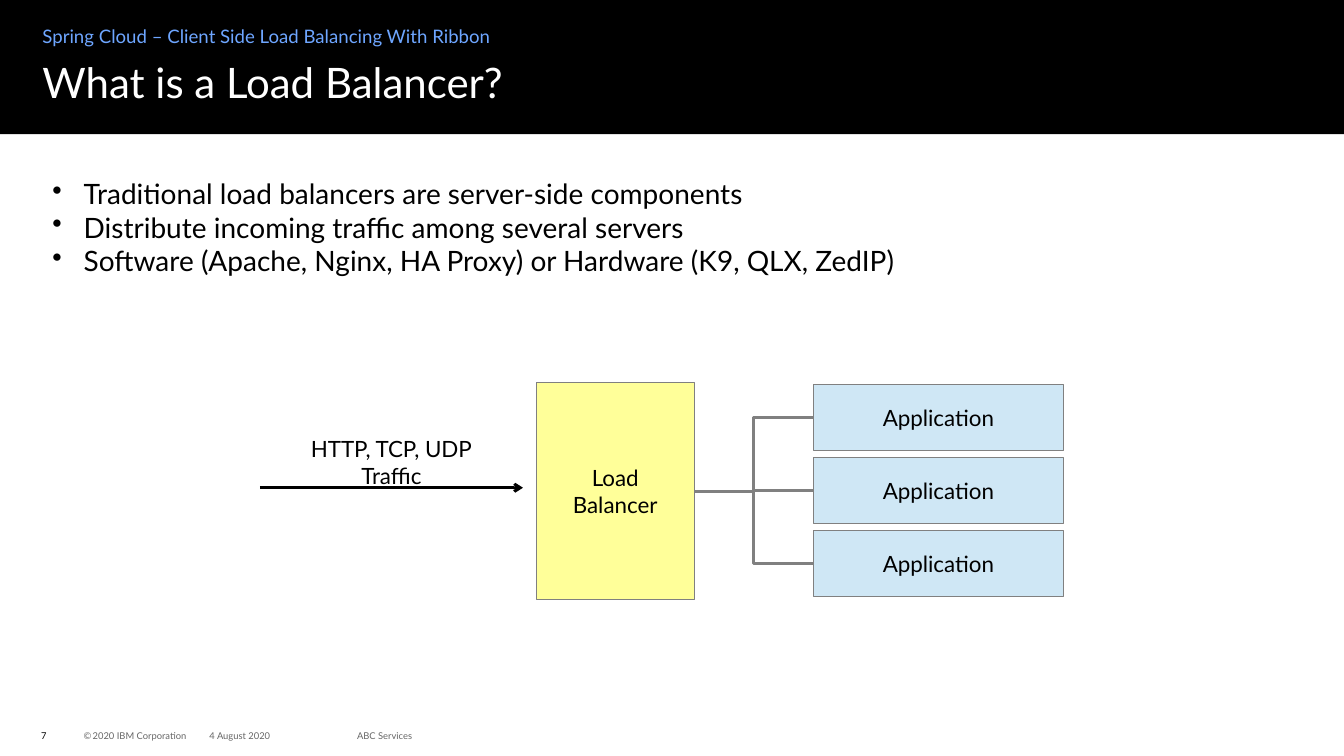
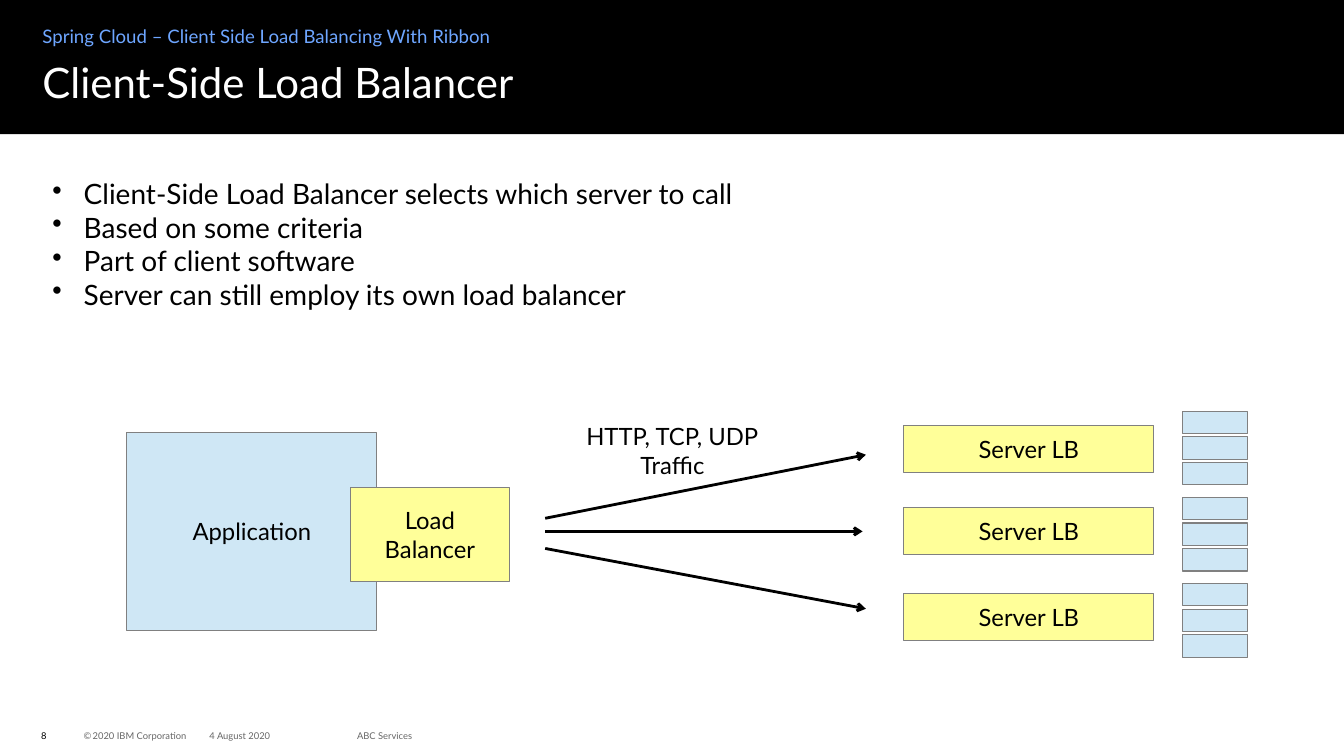
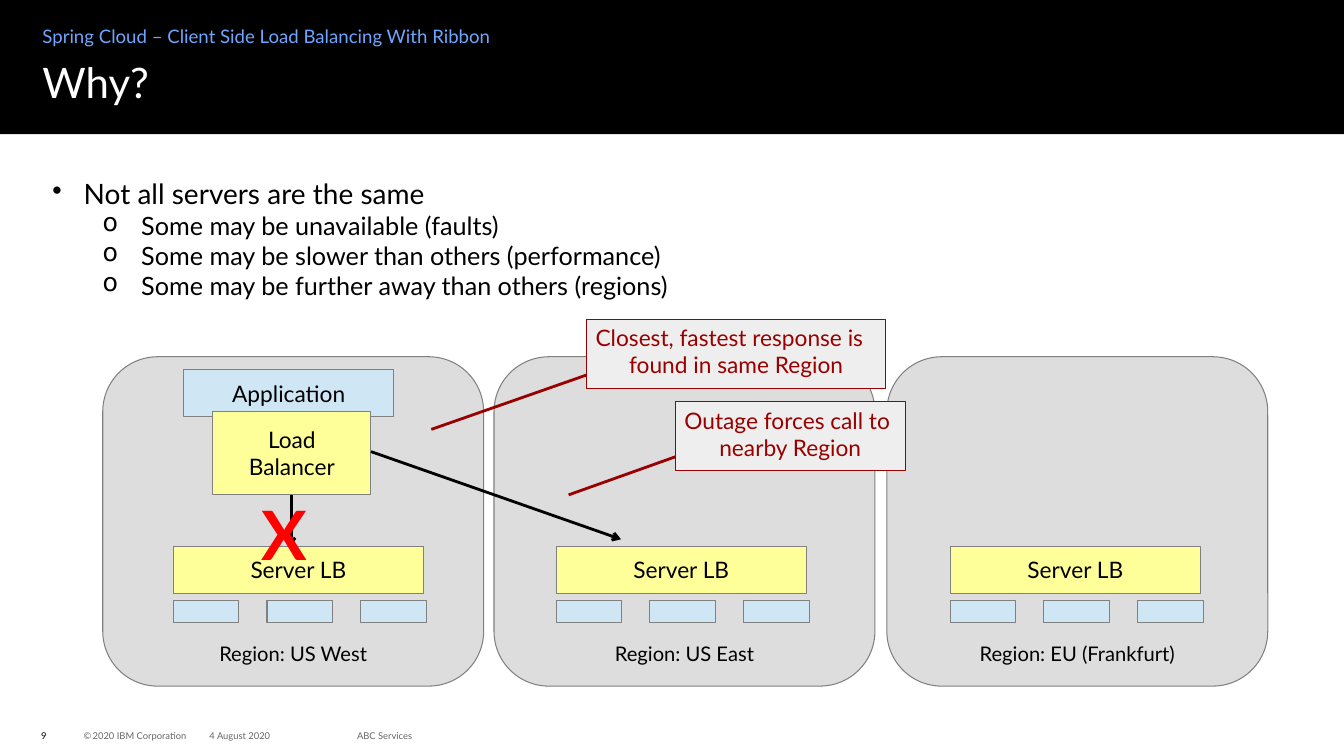
from lxml import etree
from pptx import Presentation
from pptx.dml.color import RGBColor
from pptx.enum.shapes import MSO_CONNECTOR, MSO_SHAPE
from pptx.enum.text import MSO_ANCHOR, PP_ALIGN
from pptx.oxml.ns import qn
from pptx.util import Cm, Pt

RECTANGLE, ROUNDED = MSO_SHAPE.RECTANGLE, MSO_SHAPE.ROUNDED_RECTANGLE
STRAIGHT, ELBOW = MSO_CONNECTOR.STRAIGHT, MSO_CONNECTOR.ELBOW
LEFT, CENTER = PP_ALIGN.LEFT, PP_ALIGN.CENTER
TOP, MIDDLE, BOTTOM = MSO_ANCHOR.TOP, MSO_ANCHOR.MIDDLE, MSO_ANCHOR.BOTTOM
LEFT_SITE, RIGHT_SITE = 1, 3

BLACK = RGBColor(0x00, 0x00, 0x00)
WHITE = RGBColor(0xFF, 0xFF, 0xFF)
FOOTER_GREY = RGBColor(0x66, 0x66, 0x66)
TOPIC_BLUE = RGBColor(0x6E, 0xA6, 0xFF)
LINE_GREY = RGBColor(0x80, 0x80, 0x80)
BALANCER_YELLOW = RGBColor(0xFF, 0xFF, 0x99)
SERVER_BLUE = RGBColor(0xCF, 0xE7, 0xF5)
REGION_GREY = RGBColor(0xDD, 0xDD, 0xDD)
NOTE_GREY = RGBColor(0xEE, 0xEE, 0xEE)
NOTE_RED = RGBColor(0x99, 0x00, 0x00)
FAULT_RED = RGBColor(0xFF, 0x00, 0x00)

FONT = "Lato"
SLIDE_WIDTH, SLIDE_HEIGHT = 33.87, 19.05
NO_INSETS = (0, 0)
SHAPE_INSETS = (0.23, 0.11)
BODY_INSETS = (0.25, 0.13)
BALANCER_WIDTH, SERVER_WIDTH, SERVER_HEIGHT = 3.99, 6.3, 1.19
INSTANCE_WIDTH, INSTANCE_HEIGHT = 1.65, 0.56

# For each bullet level: sign, text indent, hanging indent, text size
BULLETS = {0: ("•", 0.79, 0.79, 20), 1: ("o", 2.24, 0.97, 18)}


def set_attributes(target, values):
    for name, value in values.items():
        setattr(target, name, value)


def fill_frame(frame, lines, size, color=BLACK, align=CENTER, anchor=MIDDLE,
               insets=SHAPE_INSETS, bold=False, spacing=None):
    """Write one paragraph per line; a line is a string or a list of (text, size)."""
    side, edge = Cm(insets[0]), Cm(insets[1])
    set_attributes(frame, {
        "word_wrap": True, "vertical_anchor": anchor, "margin_left": side,
        "margin_right": side, "margin_top": edge, "margin_bottom": edge})
    for index, line in enumerate(lines):
        para = frame.paragraphs[0] if index == 0 else frame.add_paragraph()
        set_attributes(para, {"alignment": align, "line_spacing": spacing})
        for text, span_size in [(line, size)] if isinstance(line, str) else line:
            span = para.add_run()
            span.text = text
            set_attributes(span.font, {"name": FONT, "size": Pt(span_size), "bold": bold})
            span.font.color.rgb = color


def add_text(page, area, lines, size, **format_values):
    box = page.shapes.add_textbox(*map(Cm, area))
    fill_frame(box.text_frame, lines, size, **format_values)
    return box


def add_block(page, area, fill, lines=(), size=16, line=LINE_GREY, kind=RECTANGLE,
              **format_values):
    block = page.shapes.add_shape(kind, *map(Cm, area))
    block.shadow.inherit = False
    block.fill.solid()
    block.fill.fore_color.rgb = fill
    if line is None:
        block.line.fill.background()
    else:
        block.line.color.rgb = line
        block.line.width = Pt(0)
    fill_frame(block.text_frame, lines, size, **format_values)
    return block


def add_line(page, start, end, color=BLACK, kind=STRAIGHT, arrow=False):
    connector = page.shapes.add_connector(kind, *map(Cm, (*start, *end)))
    connector.line.color.rgb = color
    connector.line.width = Pt(0)
    if arrow:
        etree.SubElement(connector.line._get_or_add_ln(), qn("a:tailEnd"), type="arrow")
    etree.SubElement(connector._element.spPr, qn("a:effectLst"))
    return connector


def add_header(page, title):
    add_block(page, (0, 0, SLIDE_WIDTH, 3.38), BLACK, line=None)
    style = {"align": LEFT, "anchor": TOP, "insets": NO_INSETS}
    add_text(page, (1.07, 0.61, 15.24, 0.64),
             ["Spring Cloud – Client Side Load Balancing With Ribbon"], 13.3,
             color=TOPIC_BLUE, spacing=1.05, **style)
    add_text(page, (1.07, 1.57, 31.75, 1.8), [title], 30,
             color=WHITE, spacing=0.9, **style)


def add_footer(page, number):
    copyright_line = [("©", 6.7), (" ", 3.3), ("2020 IBM Corporation", 6.7)]
    for left, width, line, color in (
            (1.04, 0.76, str(number), BLACK),
            (2.11, 3, copyright_line, FOOTER_GREY),
            (5.28, 3.13, "4 August 2020", FOOTER_GREY),
            (9, 5.28, "ABC Services", FOOTER_GREY)):
        add_text(page, (left, 18.28, width, 0.51), [line], 6.7, color=color,
                 align=LEFT, insets=NO_INSETS)


def add_bullets(page, items):
    """Items are (level, text) pairs."""
    lines = [[(text, BULLETS[level][3])] for level, text in items]
    box = add_text(page, (1.07, 4.32, 27.89, 0.85 * len(items) + 0.26), lines, 20,
                   align=LEFT, anchor=TOP, insets=BODY_INSETS)
    for para, (level, _) in zip(box.text_frame.paragraphs, items):
        sign, indent, hanging, _ = BULLETS[level]
        para.level = level
        properties = para._p.get_or_add_pPr()
        properties.set("marL", str(Cm(indent)))
        properties.set("indent", str(-Cm(hanging)))
        etree.SubElement(properties, qn("a:buChar"), char=sign)


def add_page(deck, number, title, items):
    page = deck.slides.add_slide(deck.slide_layouts[6])
    add_header(page, title)
    add_footer(page, number)
    add_bullets(page, items)
    return page


def add_balancer(page, left, top, height, size):
    return add_block(page, (left, top, BALANCER_WIDTH, height), BALANCER_YELLOW,
                     ["Load", "Balancer"], size)


def add_server(page, left, top, size):
    add_block(page, (left, top, SERVER_WIDTH, SERVER_HEIGHT), BALANCER_YELLOW,
              ["Server LB"], size)


def add_instances(page, left, top, step_x=0, step_y=0):
    """Place three server instances in a row or a column."""
    for index in range(3):
        add_block(page, (left + index * step_x, top + index * step_y,
                         INSTANCE_WIDTH, INSTANCE_HEIGHT), SERVER_BLUE)


def add_traffic_label(page, left, top, width, size):
    add_text(page, (left, top, width, 1.8), ["HTTP, TCP, UDP", "Traffic"], size, anchor=TOP)


def draw_server_side(page, left, top):
    balancer = add_balancer(page, left + 6.96, top, 5.46, 16)
    for index in range(3):
        application = add_block(
            page, (left + 13.95, top + 0.05 + 1.84 * index, SERVER_WIDTH, 1.65),
            SERVER_BLUE, ["Application"])
        link = add_line(page, (0, 0), (1, 1), LINE_GREY, ELBOW)
        link.begin_connect(balancer, RIGHT_SITE)
        link.end_connect(application, LEFT_SITE)
    add_traffic_label(page, left, top + 1.2, 6.63, 16)
    add_line(page, (left, top + 2.64), (left + 6.63, top + 2.64), arrow=True)


def draw_client_side(page, left, top):
    size = 17
    add_block(page, (left, top + 0.54, SERVER_WIDTH, 4.98), SERVER_BLUE,
              ["Application"], size)
    add_balancer(page, left + 5.64, top + 1.93, 2.36, size)
    add_traffic_label(page, left + 10.83, top + 0.16, 5.83, size)
    for server_top in (0.36, 2.42, 4.6):
        add_server(page, left + 19.58, top + server_top, size)
    for start_y, end_x, end_y in ((2.7, 18.62, 1.1), (3.03, 18.54, 3.03), (3.46, 18.62, 4.98)):
        add_line(page, (left + 10.54, top + start_y), (left + end_x, top + end_y), arrow=True)
    for group in range(3):
        add_instances(page, left + 26.59, top + 2.17 * group, step_y=0.65)


def draw_region(page, left, top, name, server_offset):
    add_block(page, (left, top, 9.6, 8.3), REGION_GREY, [f"Region: {name}"], 14.4,
              kind=ROUNDED, anchor=BOTTOM)
    add_server(page, left + server_offset, top + 4.77, 16.2)
    add_instances(page, left + server_offset, top + 6.15, step_x=2.36)


def draw_callout(page, area, lines, start_y, target):
    """Place a note whose leader runs from its left edge to the target."""
    note = add_block(page, area, NOTE_GREY, lines, 16.2, line=NOTE_RED,
                     color=NOTE_RED, anchor=TOP)
    note.text_frame.paragraphs[0].alignment = LEFT
    left, top = area[:2]
    add_line(page, (left, top + start_y), target, NOTE_RED)


def draw_regions(page, left, top):
    for offset, name, server_offset in (
            (0, "US West", 1.78), (9.86, "US East", 1.57), (19.76, "EU (Frankfurt)", 1.6)):
        draw_region(page, left + offset, top, name, server_offset)
    add_block(page, (left + 2.03, top + 0.33, 5.31, 1.17), SERVER_BLUE,
              ["Application"], 16.2)
    add_balancer(page, left + 2.77, top + 1.37, 2.11, 16.2)
    add_line(page, (left + 4.75, top + 3.48), (left + 4.75, top + 4.78), arrow=True)
    draw_callout(page, (left + 12.19, top - 0.94, 7.54, 1.73),
                 ["Closest, fastest response is", "found in same Region"],
                 1.4, (left + 8.28, top + 1.83))
    draw_callout(page, (left + 14.43, top + 1.14, 5.79, 1.73),
                 ["Outage forces call to", "nearby Region"],
                 1.38, (left + 11.74, top + 3.48))
    add_line(page, (left + 6.76, top + 2.39), (left + 13.06, top + 4.6), arrow=True)
    add_text(page, (left + 3.76, top + 3.3, 1.63, 2.49), ["X"], 48.6,
             color=FAULT_RED, bold=True, align=LEFT, anchor=TOP)


def main():
    deck = Presentation()
    deck.slide_width, deck.slide_height = Cm(SLIDE_WIDTH), Cm(SLIDE_HEIGHT)

    page = add_page(deck, 7, "What is a Load Balancer?", [
        (0, "Traditional load balancers are server-side components"),
        (0, "Distribute incoming traffic among several servers"),
        (0, "Software (Apache, Nginx, HA Proxy) or Hardware (K9, QLX, ZedIP)")])
    draw_server_side(page, 6.55, 9.65)

    page = add_page(deck, 8, "Client-Side Load Balancer", [
        (0, "Client-Side Load Balancer selects which server to call"),
        (0, "Based on some criteria"),
        (0, "Part of client software"),
        (0, "Server can still employ its own load balancer")])
    draw_client_side(page, 3.2, 10.36)

    page = add_page(deck, 9, "Why?", [
        (0, "Not all servers are the same"),
        (1, "Some may be unavailable (faults)"),
        (1, "Some may be slower than others (performance)"),
        (1, "Some may be further away than others (regions)")])
    draw_regions(page, 2.59, 8.99)

    deck.save("out.pptx")


if __name__ == "__main__":
    main()
